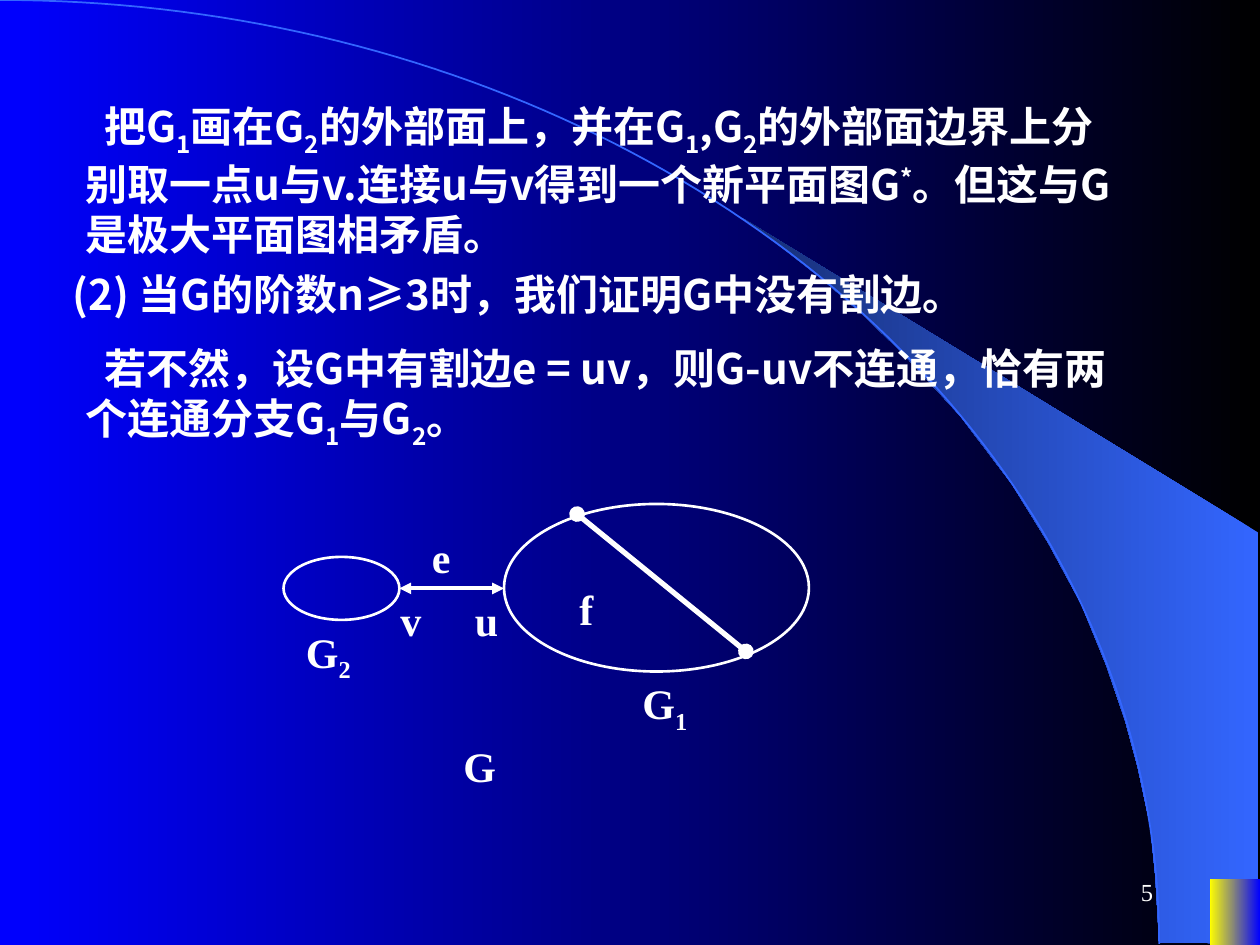
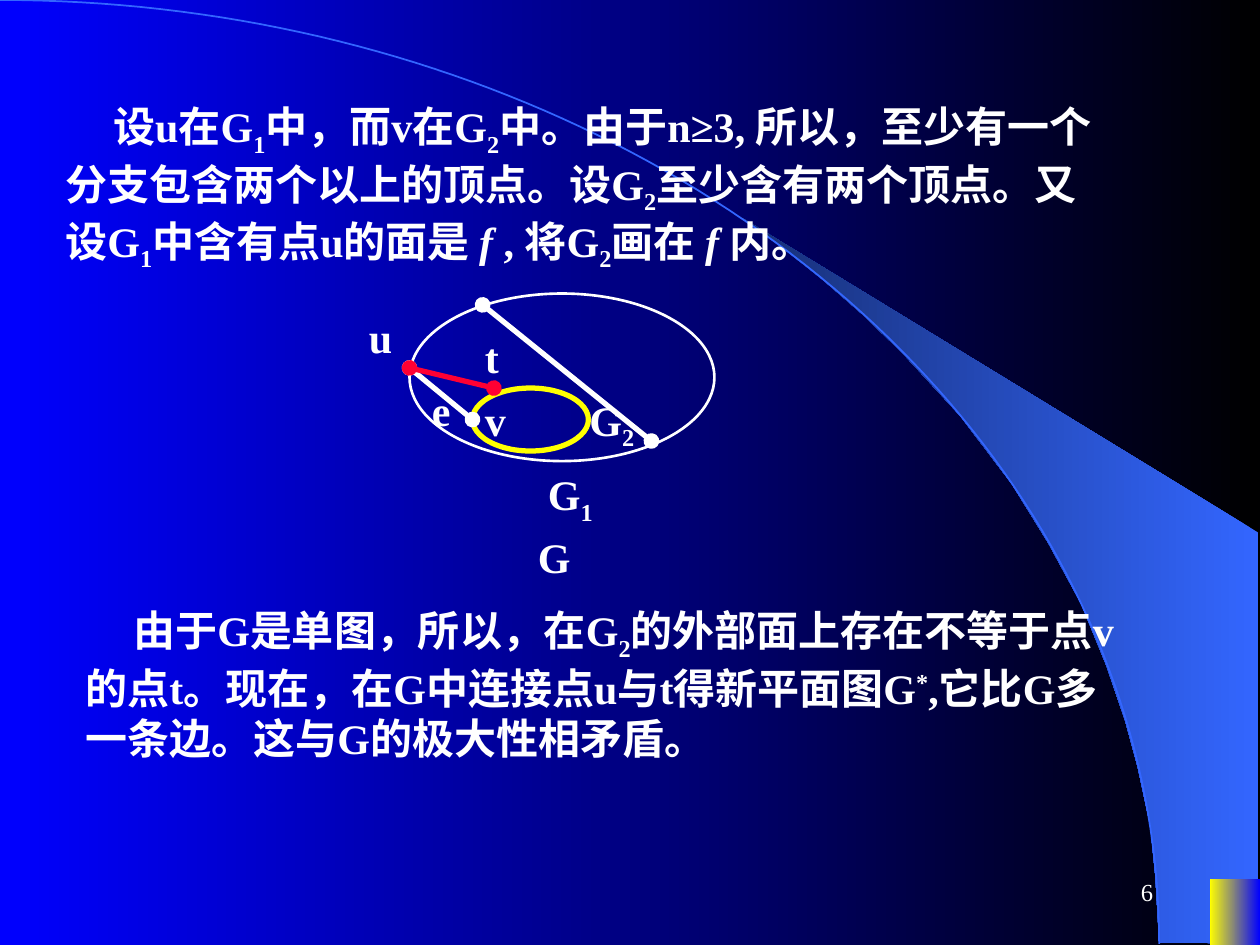
from math import cos, pi, sin

from pptx import Presentation
from pptx.dml.color import RGBColor
from pptx.enum.shapes import MSO_CONNECTOR as Link, MSO_SHAPE as Shape
from pptx.enum.text import MSO_ANCHOR as Anchor, MSO_AUTO_SIZE as Fit, PP_ALIGN as Align
from pptx.oxml.ns import qn
from pptx.util import Inches, Pt
from lxml.etree import SubElement

BLACK = RGBColor(0x00, 0x00, 0x00)
WHITE = RGBColor(0xFF, 0xFF, 0xFF)
BLUE = RGBColor(0x00, 0x00, 0xFF)
SKY = RGBColor(0x33, 0x66, 0xFF)
NAVY = RGBColor(0x17, 0x2F, 0x75)
YELLOW = RGBColor(0xFF, 0xFF, 0x00)
RED = RGBColor(0xFF, 0x00, 0x33)

SANS = "Noto Sans CJK SC"
SERIF = "Times New Roman"

# Runs are parted by "|"; a leading _ lowers, ^ raises and ~ slants the run.
BASE = {"_": "-25000", "^": "30000"}

BEAM = [(9.2, 7.48), (9.99, 7.49), (9.99, 4.23), (5.89, 1.73), (6.24, 1.99),
        (6.53, 2.22), (6.85, 2.5), (7.16, 2.8), (7.62, 3.3), (8.03, 3.84),
        (8.32, 4.31), (8.58, 4.79), (8.78, 5.28), (8.93, 5.72), (9.03, 6.09),
        (9.13, 6.56), (9.17, 6.96)]
ARC_W, ARC_H, STEPS = 9.2, 7.49, 90
BODY_W, LETTER_W, GRAPH_W = 8.42, 0.52, 0.67
BIG, SMALL = (2.42, 1.33), (0.92, 0.5)

# texts: left, top, height, indent, words
# ovals: left, top, size, colour, line width
# edges: from, to, colour, line width, end mark
# tags:  left, top, words
SLIDES = [
    {
        "page": "5",
        "font": SANS,
        "texts": [
            (0.58, 0.75, 1.36, 0.15,
             "把G|_1|画在G|_2|的外部面上，并在G|_1|,G|_2|的外部面边界上分别取一点"
             "u与v.连接u与v得到一个新平面图G|^*|。但这与G是极大平面图相矛盾。"),
            (0.33, 2.08, 0.5, 0.15, "(2) 当G的阶数n≥3时，我们证明G中没有割边。"),
            (0.58, 2.67, 0.96, 0.15,
             "若不然，设G中有割边e = uv，则G-uv不连通，恰有两个连通分支"
             "G|_1|与G|_2|。"),
        ],
        "ovals": [(2.25, 4.42, SMALL, WHITE, 1.5), (4, 4, BIG, WHITE, 1.5)],
        "edges": [((3.17, 4.67), (4, 4.67), WHITE, 2.25, "triangle"),
                  ((4.58, 4.08), (5.92, 5.17), WHITE, 3, "oval")],
        "tags": [(3.67, 4.67, "u"), (3.08, 4.67, "v"), (3.33, 4.17, "e"),
                 (5, 5.33, "G|_1"), (2.33, 4.92, "G|_2"), (3.58, 5.83, "G"),
                 (4.5, 4.58, "f")],
    },
    {
        "page": "6",
        "font": SERIF,
        "texts": [
            (0.42, 0.75, 1.47, 0.38,
             "设u在G|_1|中，而v在G|_2|中。由于n≥3, 所以，至少有一个分支包含两个"
             "以上的顶点。设G|_2|至少含有两个顶点。又设G|_1|中含有点u的面是 |~f |"
             ", 将G|_2|画在 |~f |内。"),
            (0.58, 4.75, 1.36, 0.38,
             "由于G是单图，所以，在G|_2|的外部面上存在不等于点v的点t。现在，在G中"
             "连接点u与t得新平面图G|^*|,它比G多一条边。这与G的极大性相矛盾。"),
        ],
        "ovals": [(3.75, 3.08, SMALL, YELLOW, 3), (3.25, 2.33, BIG, WHITE, 1.5)],
        "edges": [((3.83, 2.42), (5.17, 3.5), WHITE, 3, "oval"),
                  ((3.25, 2.92), (3.75, 3.33), WHITE, 3, "oval"),
                  ((3.25, 2.92), (3.92, 3.08), RED, 3, "oval")],
        "tags": [(3.75, 3.08, "v"), (2.83, 2.42, "u"), (3.33, 3, "e"),
                 (4.25, 3.67, "G|_1"), (4.58, 3.08, "G|_2"), (4.17, 4.17, "G"),
                 (3.75, 2.58, "t")],
    },
]


def blend(fill, start, end):
    """Fill from start at the right to end at the left."""
    fill.gradient()
    fill.gradient_angle = 180
    for stop, tint in zip(fill.gradient_stops, (start, end)):
        stop.color.rgb = tint


def trace(slide, points, close):
    spots = [(Inches(x), Inches(y)) for x, y in points]
    pen = slide.shapes.build_freeform(*spots[0])
    pen.add_line_segments(spots[1:], close=close)
    form = pen.convert_to_shape()
    form.shadow.inherit = False
    return form


def stroke(shape, tint, width):
    shape.line.color.rgb = tint
    shape.line.width = Pt(width)


def add_back(slide):
    blend(slide.background.fill, BLACK, BLUE)
    beam = trace(slide, BEAM, True)
    blend(beam.fill, SKY, NAVY)
    beam.line.fill.background()
    turns = [pi / 2 * i / STEPS for i in range(STEPS + 1)]
    arc = trace(slide, [(ARC_W * sin(t), ARC_H * (1 - cos(t))) for t in turns], False)
    arc.fill.background()
    stroke(arc, SKY, 1)
    block = slide.shapes.add_shape(Shape.RECTANGLE, Inches(9.6), Inches(6.98),
                                   Inches(0.4), Inches(0.52))
    block.shadow.inherit = False
    blend(block.fill, BLUE, YELLOW)
    block.line.fill.background()


def add_text(slide, left, top, width, height, words, face, size=24, bold=True, indent=0):
    box = slide.shapes.add_textbox(Inches(left), Inches(top), Inches(width), Inches(height))
    frame = box.text_frame
    frame.word_wrap = True
    para = frame.paragraphs[0]
    if indent:
        para._p.get_or_add_pPr().set("indent", str(Inches(indent)))
    for part in words.split("|"):
        run = para.add_run()
        run.text = part.lstrip("_^~")
        font = run.font
        font.name, font.size, font.bold = face, Pt(size), bold
        font.color.rgb = WHITE
        props = run._r.get_or_add_rPr()
        SubElement(props, qn("a:ea")).set("typeface", SANS)
        if part[0] in BASE:
            props.set("baseline", BASE[part[0]])
        elif part[0] == "~":
            font.italic = True
    return frame


def add_oval(slide, left, top, size, tint, width):
    oval = slide.shapes.add_shape(Shape.OVAL, Inches(left), Inches(top),
                                  *map(Inches, size))
    oval.shadow.inherit = False
    oval.fill.background()
    stroke(oval, tint, width)


def add_edge(slide, start, end, tint, width, mark):
    edge = slide.shapes.add_connector(Link.STRAIGHT, *map(Inches, start + end))
    stroke(edge, tint, width)
    line = edge.line._get_or_add_ln()
    for tip in ("a:headEnd", "a:tailEnd"):
        SubElement(line, qn(tip)).set("type", mark)
    SubElement(edge._element.spPr, qn("a:effectLst"))


def add_page(slide, number):
    frame = add_text(slide, 7.17, 6.83, 2.08, 0.5, number, SERIF, 14, False)
    frame.vertical_anchor = Anchor.MIDDLE
    frame.paragraphs[0].alignment = Align.RIGHT


def main():
    deck = Presentation()
    deck.slide_width, deck.slide_height = Inches(10), Inches(7.5)
    for data in SLIDES:
        slide = deck.slides.add_slide(deck.slide_layouts[6])
        add_back(slide)
        for left, top, height, indent, words in data["texts"]:
            frame = add_text(slide, left, top, BODY_W, height, words,
                             data["font"], indent=indent)
            frame.auto_size = Fit.SHAPE_TO_FIT_TEXT
        for oval in data["ovals"]:
            add_oval(slide, *oval)
        for edge in data["edges"]:
            add_edge(slide, *edge)
        for left, top, words in data["tags"]:
            width = GRAPH_W if words[0] == "G" else LETTER_W
            height = 0.56 if "_" in words else 0.5
            frame = add_text(slide, left, top, width, height, words, SERIF)
            frame.auto_size = Fit.SHAPE_TO_FIT_TEXT
        add_page(slide, data["page"])
    deck.save("out.pptx")


if __name__ == "__main__":
    main()
